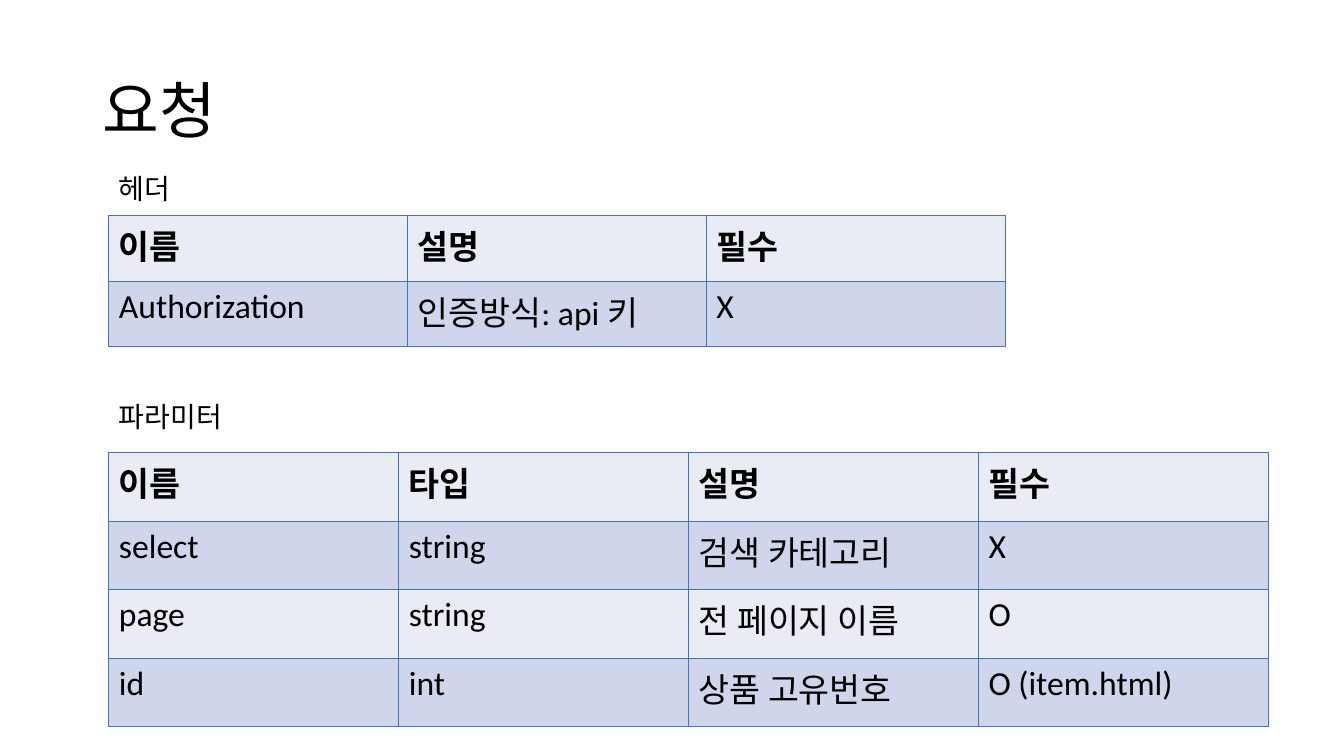
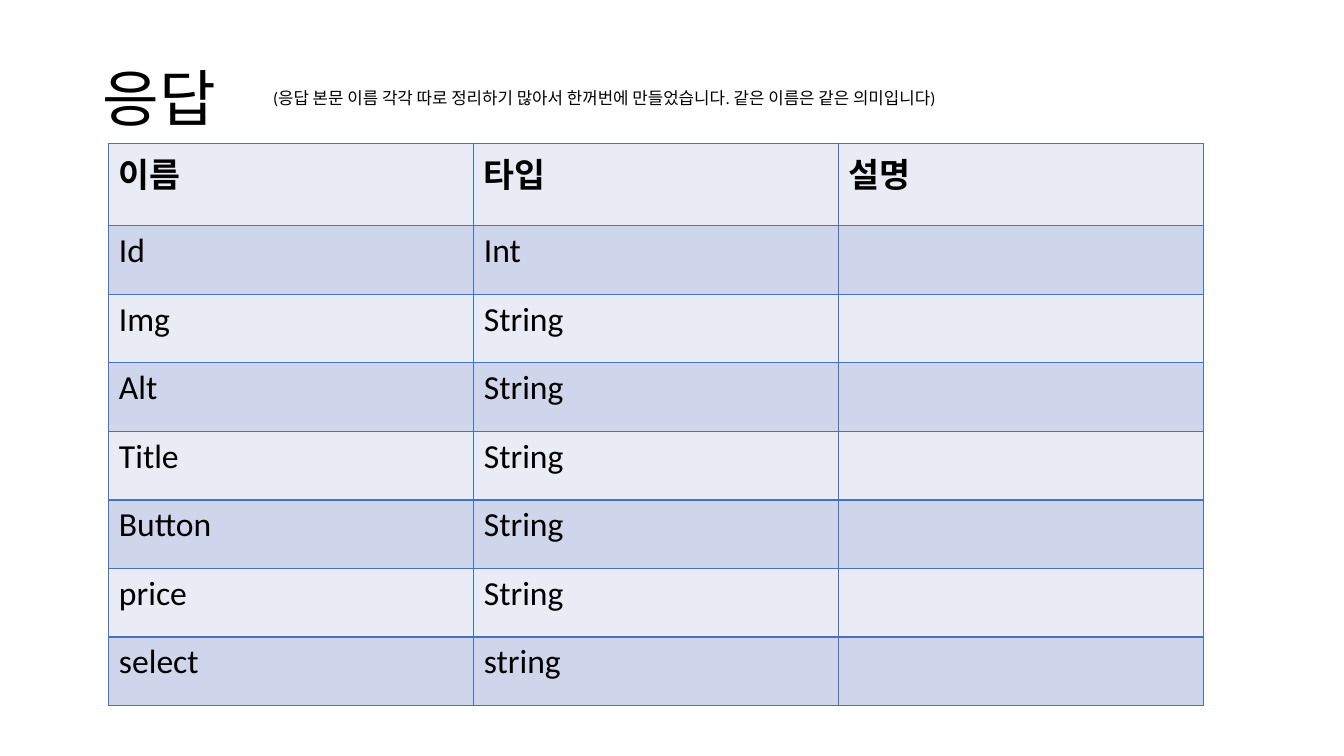
from lxml import etree
from pptx import Presentation
from pptx.dml.color import RGBColor
from pptx.enum import text
from pptx.oxml import ns
from pptx.util import Inches, Pt

FONT = "Calibri"
BLACK = RGBColor(0x00, 0x00, 0x00)
BLUE = RGBColor(0x44, 0x72, 0xC4)
BANDS = RGBColor(0xE9, 0xEB, 0xF5), RGBColor(0xCF, 0xD5, 0xEA)
LEFT = 1.08

# Notes: words, left, top, width, height, size
# Tables: top, width, row heights, rows
SLIDES = [
    {
        "title": ("요청", 0.4),
        "notes": [
            ("헤더", LEFT, 1.65, 3.7, 0.44, 20),
            ("파라미터", LEFT, 3.91, 3.7, 0.44, 20),
        ],
        "tables": [
            (2.14, 8.89, [0.65] * 2, [
                ("이름", "설명", "필수"),
                ("Authorization", "인증방식: api 키", "X"),
            ]),
            (4.49, 11.5, [0.68] * 4, [
                ("이름", "타입", "설명", "필수"),
                ("select", "string", "검색 카테고리", "X"),
                ("page", "string", "전 페이지 이름", "O"),
                ("id", "int", "상품 고유번호", "O (item.html)"),
            ]),
        ],
    },
    {
        "title": ("응답", 0.28),
        "notes": [
            ("(응답 본문 이름 각각 따로 정리하기 많아서 한꺼번에 만들었습니다. "
             "같은 이름은 같은 의미입니다)", 2.61, 0.82, 7.74, 0.3, 12),
        ],
        "tables": [
            (1.42, 10.86, [0.82] + [0.68] * 7, [
                ("이름", "타입", "설명"),
                ("Id", "Int", ""),
                ("Img", "String", ""),
                ("Alt", "String", ""),
                ("Title", "String", ""),
                ("Button", "String", ""),
                ("price", "String", ""),
                ("select", "string", ""),
            ]),
        ],
    },
]


def style(para, size, bold=False):
    look = {"name": FONT, "size": Pt(size), "bold": bold}
    for key, value in look.items():
        setattr(para.font, key, value)
    para.font.color.rgb = BLACK


def add_text(slide, words, left, top, width, height, size):
    box = slide.shapes.add_textbox(*map(Inches, (left, top, width, height)))
    frame = box.text_frame
    frame.word_wrap = True
    para = frame.paragraphs[0]
    para.text = words
    style(para, size)
    return frame


def add_title(slide, words, top):
    frame = add_text(slide, words, 0.92, top, 11.5, 1.45, 44)
    frame.vertical_anchor = text.MSO_ANCHOR.MIDDLE
    frame.paragraphs[0].line_spacing = 0.9


def add_edges(cell):
    """Draw all four cell borders; they must come before the cell's fill."""
    props = cell._tc.get_or_add_tcPr()
    for spot, side in enumerate(("lnL", "lnR", "lnT", "lnB")):
        line = etree.Element(ns.qn(f"a:{side}"), w=str(Pt(1)))
        fill = etree.SubElement(line, ns.qn("a:solidFill"))
        etree.SubElement(fill, ns.qn("a:srgbClr"), val=str(BLUE))
        props.insert(spot, line)


def add_grid(slide, top, width, heights, rows):
    count = len(rows[0])
    frame = slide.shapes.add_table(
        len(rows), count, Inches(LEFT), Inches(top),
        Inches(width), Inches(sum(heights)))
    table = frame.table
    for col in table.columns:
        col.width = Inches(width / count)
    for r, (height, row) in enumerate(zip(heights, rows)):
        table.rows[r].height = Inches(height)
        for c, words in enumerate(row):
            cell = table.cell(r, c)
            cell.text = words
            style(cell.text_frame.paragraphs[0], 24, bold=r == 0)
            cell.fill.solid()
            cell.fill.fore_color.rgb = BANDS[r % 2]
            add_edges(cell)


def main():
    deck = Presentation()
    deck.slide_width, deck.slide_height = Inches(13.33), Inches(7.5)
    for page in SLIDES:
        slide = deck.slides.add_slide(deck.slide_layouts[6])
        add_title(slide, *page["title"])
        for note in page["notes"]:
            add_text(slide, *note)
        for grid in page["tables"]:
            add_grid(slide, *grid)
    deck.save("out.pptx")


if __name__ == "__main__":
    main()
